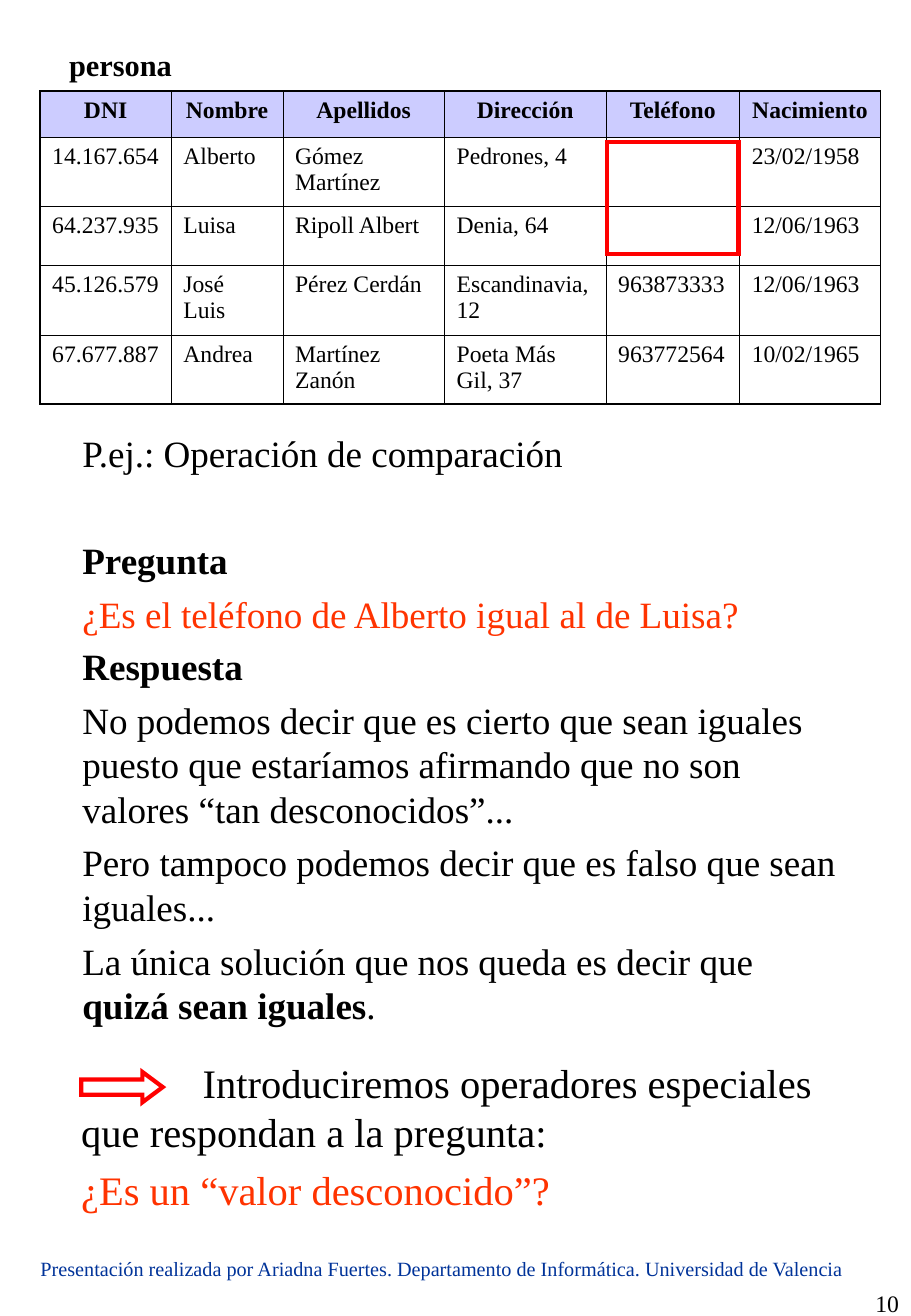
from pptx import Presentation
from pptx.dml.color import RGBColor
from pptx.enum.shapes import MSO_SHAPE
from pptx.enum.text import PP_ALIGN
from pptx.oxml import parse_xml
from pptx.oxml.ns import nsdecls
from pptx.util import Inches, Pt

BLACK, RED, ORANGE, NAVY, LILAC = "000000", "FF0000", "FF3300", "003399", "CCCCFF"


def color(hex_code):
    return RGBColor.from_string(hex_code)


def style(paragraph, size, hex_code=BLACK, bold=False):
    for run in paragraph.runs:
        run.font.name = "Times New Roman"
        run.font.size = Pt(size)
        run.font.bold = bold
        run.font.color.rgb = color(hex_code)


prs = Presentation()
prs.slide_width, prs.slide_height = Inches(7.5), Inches(10.84)
slide = prs.slides.add_slide(prs.slide_layouts[6])

people = [
    ["DNI", "Nombre", "Apellidos", "Dirección", "Teléfono", "Nacimiento"],
    ["14.167.654", "Alberto", "Gómez Martínez", "Pedrones, 4", "", "23/02/1958"],
    ["64.237.935", "Luisa", "Ripoll Albert", "Denia, 64", "", "12/06/1963"],
    ["45.126.579", "José Luis", "Pérez Cerdán", "Escandinavia, 12", "963873333", "12/06/1963"],
    ["67.677.887", "Andrea", "Martínez Zanón", "Poeta Más Gil, 37", "963772564", "10/02/1965"],
]
widths = [1.08, 0.92, 1.33, 1.33, 1.1, 1.16]
heights = [0.38, 0.57, 0.49, 0.57, 0.57]
persona = slide.shapes.add_table(
    len(heights), len(widths), Inches(0.33), Inches(0.75),
    Inches(sum(widths)), Inches(sum(heights))).table
persona.first_row = persona.horz_banding = False
for column, width in zip(persona.columns, widths):
    column.width = Inches(width)
for row, height in zip(persona.rows, heights):
    row.height = Inches(height)

for r, person in enumerate(people):
    for c, value in enumerate(person):
        cell = persona.cell(r, c)
        cell.text_frame.text = value
        entry = cell.text_frame.paragraphs[0]
        style(entry, 14, bold=r == 0)
        if r == 0:
            entry.alignment = PP_ALIGN.CENTER
            cell.margin_left = cell.margin_right = Inches(0.05)
            cell.fill.solid()
            cell.fill.fore_color.rgb = color(LILAC)
        else:
            cell.fill.background()
        outer_edges = {"L": c == 0, "R": c == len(widths) - 1,
                       "T": r == 0, "B": r == len(heights) - 1}
        for position, (side, outer) in enumerate(outer_edges.items()):
            border_width = Pt(1.08 if outer else 0.45)
            cell._tc.get_or_add_tcPr().insert(position, parse_xml(
                f'<a:ln{side} {nsdecls("a")} w="{border_width}"><a:solidFill>'
                f'<a:srgbClr val="{BLACK}"/></a:solidFill></a:ln{side}>'))

texts = [
    (0.58, 3.5, 6.42, 1.8, True, PP_ALIGN.LEFT, 22, 0, [
        ("P.ej.: Operación de comparación", BLACK, False, 5.5),
        ("Pregunta", BLACK, True, 37),
        ("¿Es el teléfono de Alberto igual al de Luisa?", ORANGE, False, 5.5)]),
    (0.58, 5.25, 6.42, 3.26, True, PP_ALIGN.LEFT, 22, 0, [
        ("Respuesta", BLACK, True, 5.5),
        ("No podemos decir que es cierto que sean iguales puesto que estaríamos "
         "afirmando que no son valores “tan desconocidos”...", BLACK, False, 5.5),
        ("Pero tampoco podemos decir que es falso que sean iguales...", BLACK, False, 5.5),
        ("La única solución que nos queda es decir que |quizá sean iguales|.",
         BLACK, False, 5.5)]),
    (0.57, 8.67, 6.35, 0.9, True, PP_ALIGN.LEFT, 24, 1, [
        ("Introduciremos operadores especiales que respondan a la pregunta:",
         BLACK, False, 0)]),
    (0.57, 9.55, 4.2, 0.5, False, PP_ALIGN.LEFT, 24, 0, [
        ("¿Es un “valor desconocido”?", ORANGE, False, 0)]),
    (0.47, 0.33, 1.3, 0.4, False, PP_ALIGN.LEFT, 18, 0, [("persona", BLACK, True, 0)]),
    (0.22, 10.3, 6.84, 0.3, False, PP_ALIGN.CENTER, 12, 0, [
        ("Presentación realizada por Ariadna Fuertes. Departamento de Informática. "
         "Universidad de Valencia", NAVY, False, 0)]),
    (7.06, 10.57, 0.44, 0.26, True, PP_ALIGN.RIGHT, 14, 0, [("10", BLACK, False, 0)]),
]
for left, top, width, height, wrap, alignment, size, indent, lines in texts:
    frame = slide.shapes.add_textbox(
        Inches(left), Inches(top), Inches(width), Inches(height)).text_frame
    frame.word_wrap = wrap
    for i, (line, hex_code, bold, space) in enumerate(lines):
        paragraph = frame.add_paragraph() if i else frame.paragraphs[0]
        for part in line.split("|"):
            paragraph.add_run().text = part
        style(paragraph, size, hex_code, bold)
        if len(paragraph.runs) > 1:
            paragraph.runs[1].font.bold = True
        paragraph.alignment = alignment
        paragraph.space_before = Pt(space)
        if indent:
            margins = paragraph._p.get_or_add_pPr()
            margins.set("marL", "0")
            margins.set("indent", str(Inches(indent)))

unknown_phones = slide.shapes.add_shape(
    MSO_SHAPE.RECTANGLE, Inches(5), Inches(1.17), Inches(1.08), Inches(0.92))
conclusion_arrow = slide.shapes.add_shape(
    MSO_SHAPE.RIGHT_ARROW, Inches(0.67), Inches(8.83), Inches(0.67), Inches(0.25))
conclusion_arrow.adjustments[1] = 0.67
for mark in (unknown_phones, conclusion_arrow):
    mark.shadow.inherit = False
    mark.fill.background()
    mark.line.color.rgb = color(RED)
    mark.line.width = Pt(2.5)
    mark.line._get_or_add_ln().append(parse_xml(f'<a:miter {nsdecls("a")} lim="800000"/>'))

prs.save("out.pptx")
